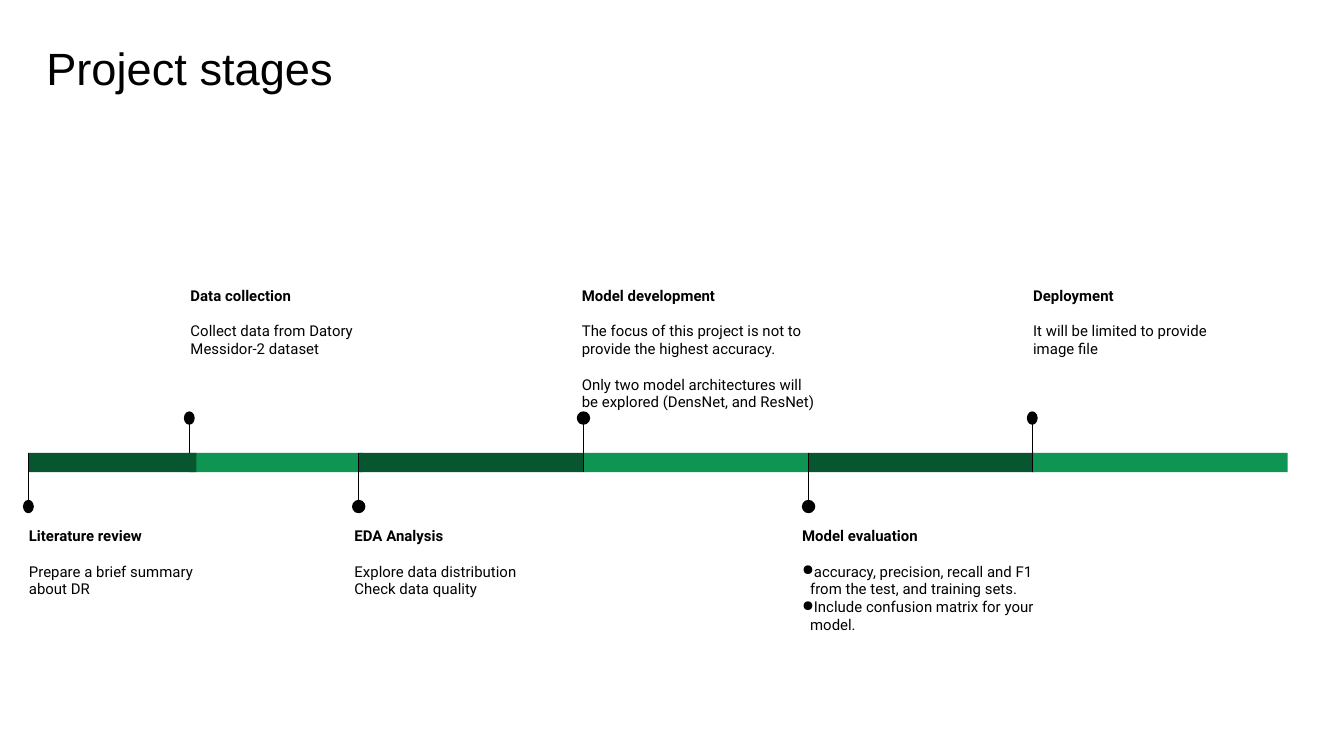
from typing import NamedTuple

import pptx
import pptx.dml.color
import pptx.enum.shapes
import pptx.enum.text
import pptx.oxml.ns
import pptx.util
from lxml import etree

Pt = pptx.util.Pt
BLACK = pptx.dml.color.RGBColor(0x00, 0x00, 0x00)
GREEN = pptx.dml.color.RGBColor(0x0E, 0x94, 0x53)
DARK_GREEN = pptx.dml.color.RGBColor(0x08, 0x56, 0x30)

BAR_TOP, BAR_HEIGHT = 242.6, 10.4
STEM_LENGTH = 28.1
DOT_HEIGHT = 7.2
BULLET_INDENT = 4.3
LINE_GAP = 9.4


class Stage(NamedTuple):
    heading: str
    details: list
    start: float
    length: float
    dot_width: float
    text_left: float
    text_width: float
    above: bool
    bullets: bool = False
    detail_gap: float = 0


# Literature review comes last because its bar overlaps the next one.
STAGES = [
    Stage("Data collection", ["Collect data from Datory Messidor-2 dataset"],
          101.4, 93, 5.8, 95, 108, above=True),
    Stage("EDA Analysis", ["Explore data distribution", "Check data quality"],
          192.2, 121, 7.2, 182.8, 140.4, above=False),
    Stage("Model development",
          ["The focus of this project is not to provide the highest accuracy.",
           "Only two model architectures will be explored (DensNet, and ResNet)"],
          312.6, 121, 7.2, 304.6, 140.4, above=True, detail_gap=LINE_GAP),
    Stage("Model evaluation",
          ["accuracy, precision, recall and F1 from the test, and training sets.",
           "Include confusion matrix for your model."],
          433.2, 121, 7.2, 422.6, 140.4, above=False, bullets=True),
    Stage("Deployment", ["It will be limited to provide image file"],
          553, 136.8, 5.8, 546.4, 116, above=True),
    Stage("Literature review", ["Prepare a brief summary about DR"],
          15.2, 90, 5.8, 8.4, 105.2, above=False),
]


def write(paragraph, text, font="Roboto", size=8, bold=False, before=0, bullet=False):
    paragraph.space_before = Pt(before)
    run = paragraph.add_run()
    run.text = text
    run.font.name = font
    run.font.size = Pt(size)
    run.font.bold = bold
    run.font.color.rgb = BLACK
    if bullet:
        properties = paragraph._p.get_or_add_pPr()
        properties.set("marL", str(Pt(BULLET_INDENT)))
        properties.set("indent", str(-Pt(BULLET_INDENT)))
        etree.SubElement(properties, pptx.oxml.ns.qn("a:buChar")).set("char", "●")


class Timeline:
    def __init__(self, slide):
        self.shapes = slide.shapes

    def text_frame(self, left, top, width, height, side_inset=7.2):
        box = self.shapes.add_textbox(Pt(left), Pt(top), Pt(width), Pt(height))
        frame = box.text_frame
        frame.word_wrap = True
        frame.margin_left = frame.margin_right = Pt(side_inset)
        frame.margin_top = frame.margin_bottom = Pt(7.2)
        return frame

    def title(self, text):
        frame = self.text_frame(24.8, 13.6, 671, 45.4, side_inset=0)
        frame.vertical_anchor = pptx.enum.text.MSO_ANCHOR.MIDDLE
        write(frame.paragraphs[0], text, font="Arial", size=24.2)

    def solid(self, kind, left, top, width, height, color):
        shape = self.shapes.add_shape(kind, Pt(left), Pt(top), Pt(width), Pt(height))
        shape.shadow.inherit = False
        shape.fill.solid()
        shape.fill.fore_color.rgb = color
        shape.line.fill.background()

    def stem(self, x, top):
        line = self.shapes.add_connector(
            pptx.enum.shapes.MSO_CONNECTOR.STRAIGHT,
            Pt(x), Pt(top), Pt(x), Pt(top + STEM_LENGTH))
        line.line.color.rgb = BLACK
        line.line.width = Pt(0.75)
        etree.SubElement(line._element.spPr, pptx.oxml.ns.qn("a:effectLst"))

    def description(self, stage):
        frame = self.text_frame(stage.text_left, 146.2 if stage.above else 275,
                                stage.text_width, 74.2)
        write(frame.paragraphs[0], stage.heading, bold=True)
        for index, detail in enumerate(stage.details):
            write(frame.add_paragraph(), detail, bullet=stage.bullets,
                  before=stage.detail_gap if index else LINE_GAP)

    def stage(self, stage):
        """Draw the bar, marker and description of one stage."""
        kinds = pptx.enum.shapes.MSO_SHAPE
        self.solid(kinds.RECTANGLE, stage.start, BAR_TOP, stage.length, BAR_HEIGHT,
                   GREEN if stage.above else DARK_GREEN)
        if stage.above:
            stem_top = BAR_TOP + BAR_HEIGHT - STEM_LENGTH
            dot_top = 220.4
        else:
            stem_top = BAR_TOP
            dot_top = 267.8
        self.stem(stage.start, stem_top)
        self.solid(kinds.OVAL, stage.start - stage.dot_width / 2, dot_top,
                   stage.dot_width, DOT_HEIGHT, BLACK)
        self.description(stage)


def main():
    deck = pptx.Presentation()
    deck.slide_width, deck.slide_height = Pt(720), Pt(405)
    timeline = Timeline(deck.slides.add_slide(deck.slide_layouts[6]))
    timeline.title("Project stages")
    for stage in STAGES:
        timeline.stage(stage)
    deck.save("out.pptx")


if __name__ == "__main__":
    main()
